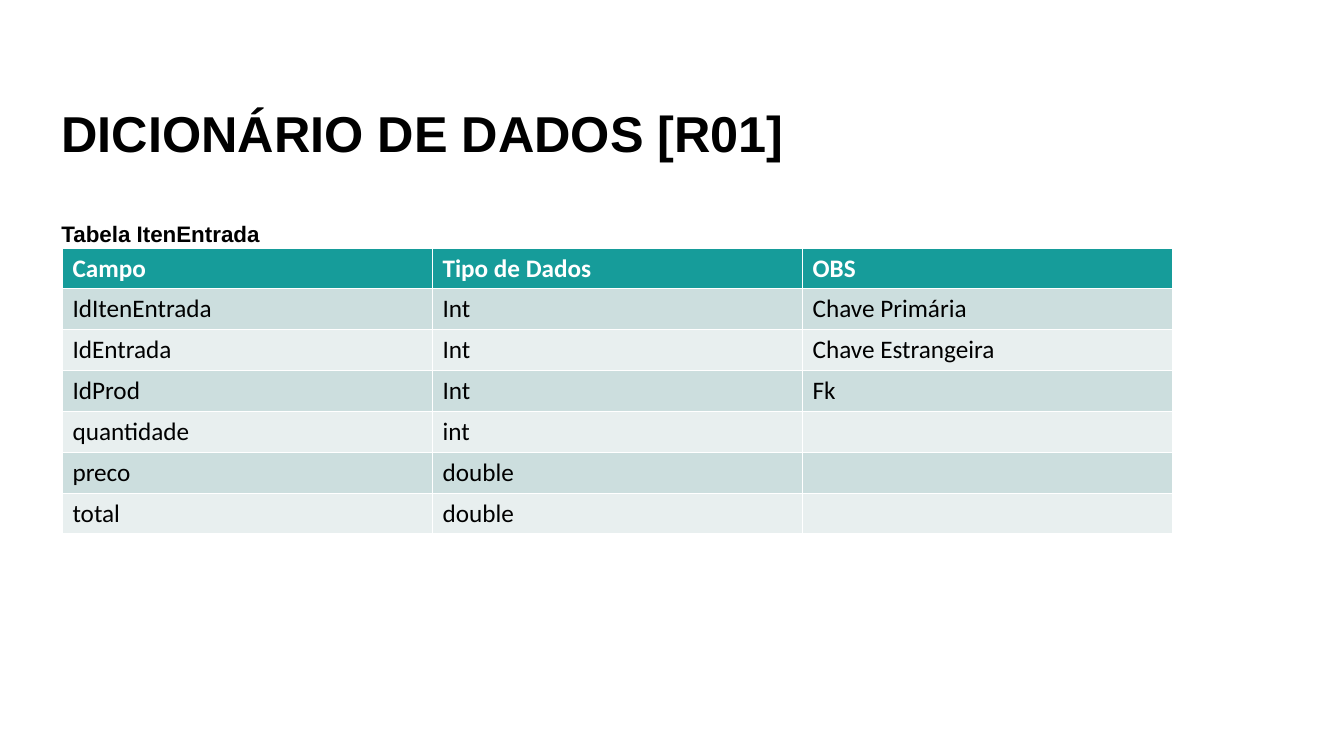
from pptx import Presentation
from pptx.dml.color import RGBColor
from pptx.enum.text import MSO_ANCHOR as Anchor, MSO_AUTO_SIZE as AutoSize, PP_ALIGN as Align
from pptx.util import Inches, Pt

COLORS = {
    "text": "000000",
    "header_text": "FFFFFF",
    "header": "169C9A",
    "odd_row": "CCDEDE",
    "even_row": "E8EFEF",
}
FIELDS = [
    ("Campo", "Tipo de Dados", "OBS"),
    ("IdItenEntrada", "Int", "Chave Primária"),
    ("IdEntrada", "Int", "Chave Estrangeira"),
    ("IdProd", "Int", "Fk"),
    ("quantidade", "int", ""),
    ("preco", "double", ""),
    ("total", "double", ""),
]
SLIDE_WIDTH, SLIDE_HEIGHT = Inches(13.33), Inches(7.5)
TITLE_BOX = (3.83, 0, 86.25, 22.27)
CAPTION_BOX = (3.83, 11.07, 86.25, 22.27)
TABLE_BOX = (4.65, 32.8, 82.6, 37.87)


def place(box):
    left, top, width, height = box
    column, row = SLIDE_WIDTH / 100, SLIDE_HEIGHT / 100
    return int(left * column), int(top * row), int(width * column), int(height * row)


def style_font(font, name, size, color, bold):
    font.name = name
    font.size = Pt(size)
    font.bold = bold
    font.color.rgb = RGBColor.from_string(COLORS[color])


def fill_heading(shape, box, text, size):
    shape.left, shape.top, shape.width, shape.height = place(box)
    frame = shape.text_frame
    frame.text = text
    frame.word_wrap = True
    frame.auto_size = AutoSize.NONE
    frame.vertical_anchor = Anchor.BOTTOM
    para = frame.paragraphs[0]
    para.alignment = Align.LEFT
    para.line_spacing = 0.9
    style_font(para.runs[0].font, "Arial", size, "text", True)


def add_field_table(page, box):
    table = page.shapes.add_table(len(FIELDS), len(FIELDS[0]), *place(box)).table
    for row_index, values in enumerate(FIELDS):
        is_header = row_index == 0
        fill_name = "header" if is_header else ("even_row", "odd_row")[row_index % 2]
        for column_index, value in enumerate(values):
            cell = table.cell(row_index, column_index)
            cell.fill.solid()
            cell.fill.fore_color.rgb = RGBColor.from_string(COLORS[fill_name])
            cell.text_frame.text = value
            for span in cell.text_frame.paragraphs[0].runs:
                text_color = "header_text" if is_header else "text"
                style_font(span.font, "Calibri", 18, text_color, is_header)


def build_dictionary_slide(deck):
    page = deck.slides.add_slide(deck.slide_layouts.get_by_name("Title Only"))
    fill_heading(page.shapes.title, TITLE_BOX, "DICIONÁRIO DE DADOS [R01]", 36)
    add_field_table(page, TABLE_BOX)
    caption = page.shapes.add_textbox(*place(CAPTION_BOX))
    fill_heading(caption, CAPTION_BOX, "Tabela ItenEntrada", 16)


def main():
    deck = Presentation()
    deck.slide_width, deck.slide_height = SLIDE_WIDTH, SLIDE_HEIGHT
    build_dictionary_slide(deck)
    deck.save("out.pptx")


if __name__ == "__main__":
    main()
